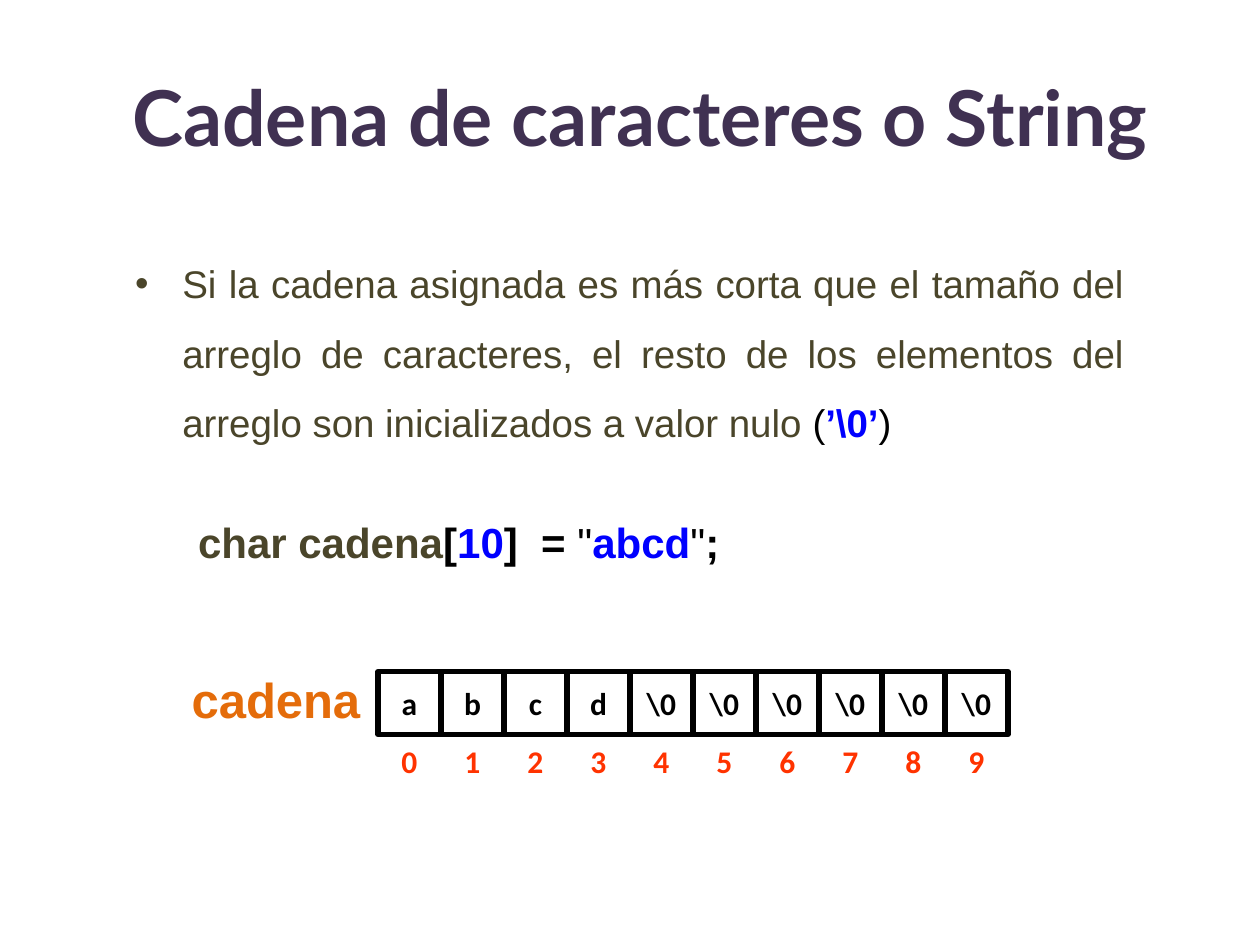
import pptx
import pptx.dml.color
import pptx.enum.shapes
import pptx.enum.text
import pptx.util
from lxml import etree
from pptx.oxml.ns import qn

Pt = pptx.util.Pt
ALIGN = pptx.enum.text.PP_ALIGN
MIDDLE = pptx.enum.text.MSO_ANCHOR.MIDDLE

BLACK, BLUE, OLIVE = "000000", "0000FF", "4A452A"
CELLS = ["a", "b", "c", "d"] + ["\\0"] * 6
CELL_SIZE = 36
ARRAY_LEFT, ARRAY_TOP, INDEX_TOP = 216, 383.76, 416.88


def color(hex_code):
    return pptx.dml.color.RGBColor.from_string(hex_code)


class SlideBuilder:
    """Holds the text style and the current slide, and adds its elements."""

    def __init__(self, slide):
        self.slide = slide
        self.body_font = "Arial"
        self.cell_font = "Calibri"
        self.title_font = "Lato"

    def place(self, shape, left, top, width, height):
        shape.left, shape.top = Pt(left), Pt(top)
        shape.width, shape.height = Pt(width), Pt(height)

    def span(self, para, text, font, size, hex_code, bold):
        span = para.add_run()
        span.text = text
        span.font.name = font
        span.font.size = Pt(size)
        span.font.bold = bold
        span.font.color.rgb = color(hex_code)

    def title(self, text, *bounds):
        title = self.slide.shapes.title
        self.place(title, *bounds)
        title.text_frame.vertical_anchor = MIDDLE
        para = title.text_frame.paragraphs[0]
        para.alignment = ALIGN.CENTER
        self.span(para, text, self.title_font, 44, "403152", True)

    def body(self, *bounds):
        body = self.slide.placeholders[1]
        self.place(body, *bounds)
        return body.text_frame

    def body_paragraph(self, para, spans, size, left, hanging, spacing, before=0, level=0):
        properties = para._p.get_or_add_pPr()
        properties.set("marL", str(Pt(left)))
        properties.set("indent", str(-Pt(hanging)))
        if level:
            etree.SubElement(properties, qn("a:buNone"))
        para.level = level
        para.alignment = ALIGN.JUSTIFY
        para.line_spacing = spacing
        para.space_before = Pt(before)
        for text, hex_code, bold in spans:
            self.span(para, text, self.body_font, size, hex_code, bold)

    def centered_text(self, shape, text, font, size, hex_code):
        frame = shape.text_frame
        frame.word_wrap = False
        frame.vertical_anchor = MIDDLE
        para = frame.paragraphs[0]
        para.alignment = ALIGN.CENTER
        self.span(para, text, font, size, hex_code, True)

    def cell(self, text, left, top):
        cell = self.slide.shapes.add_shape(
            pptx.enum.shapes.MSO_SHAPE.RECTANGLE, Pt(left), Pt(top), Pt(CELL_SIZE), Pt(CELL_SIZE))
        cell.shadow.inherit = False
        cell.fill.solid()
        cell.fill.fore_color.rgb = color("FFFFFF")
        cell.line.color.rgb = color(BLACK)
        cell.line.width = Pt(3)
        self.centered_text(cell, text, self.cell_font, 18, BLACK)

    def label(self, text, left, top, width, height, font, size, hex_code):
        box = self.slide.shapes.add_textbox(Pt(left), Pt(top), Pt(width), Pt(height))
        self.centered_text(box, text, font, size, hex_code)


def main():
    deck = pptx.Presentation()
    deck.slide_width, deck.slide_height = Pt(720), Pt(540)
    page = SlideBuilder(deck.slides.add_slide(deck.slide_layouts[1]))

    page.title("Cadena de caracteres o String", 60, 21, 612, 90)
    frame = page.body(70, 132, 579.6, 252)
    page.body_paragraph(frame.paragraphs[0], [
        ("Si la cadena asignada es más corta que el tamaño del arreglo de caracteres, "
         "el resto de los elementos del arreglo son inicializados a valor nulo ", OLIVE, False),
        ("(", BLACK, False),
        ("’\\0’", BLUE, True),
        (")", BLACK, False),
    ], 22, 27, 27, 1.5)
    page.body_paragraph(frame.add_paragraph(), [
        ("char cadena", OLIVE, True),
        ("[", BLACK, True),
        ("10", BLUE, True),
        ("]  = ", BLACK, True),
        ("\"", BLACK, False),
        ("abcd", BLUE, True),
        ("\"", BLACK, False),
        (";", BLACK, True),
    ], 24, 58.5, 22.5, 1.2, before=35, level=1)

    for index, text in enumerate(CELLS):
        left = ARRAY_LEFT + index * CELL_SIZE
        page.cell(text, left, ARRAY_TOP)
        page.label(str(index), left, INDEX_TOP, CELL_SIZE, CELL_SIZE, page.cell_font, 18, "FF3300")
    page.label("cadena", 101.5, 378.7, 112.3, 41, page.body_font, 28, "E46C0A")

    deck.save("out.pptx")


if __name__ == "__main__":
    main()
